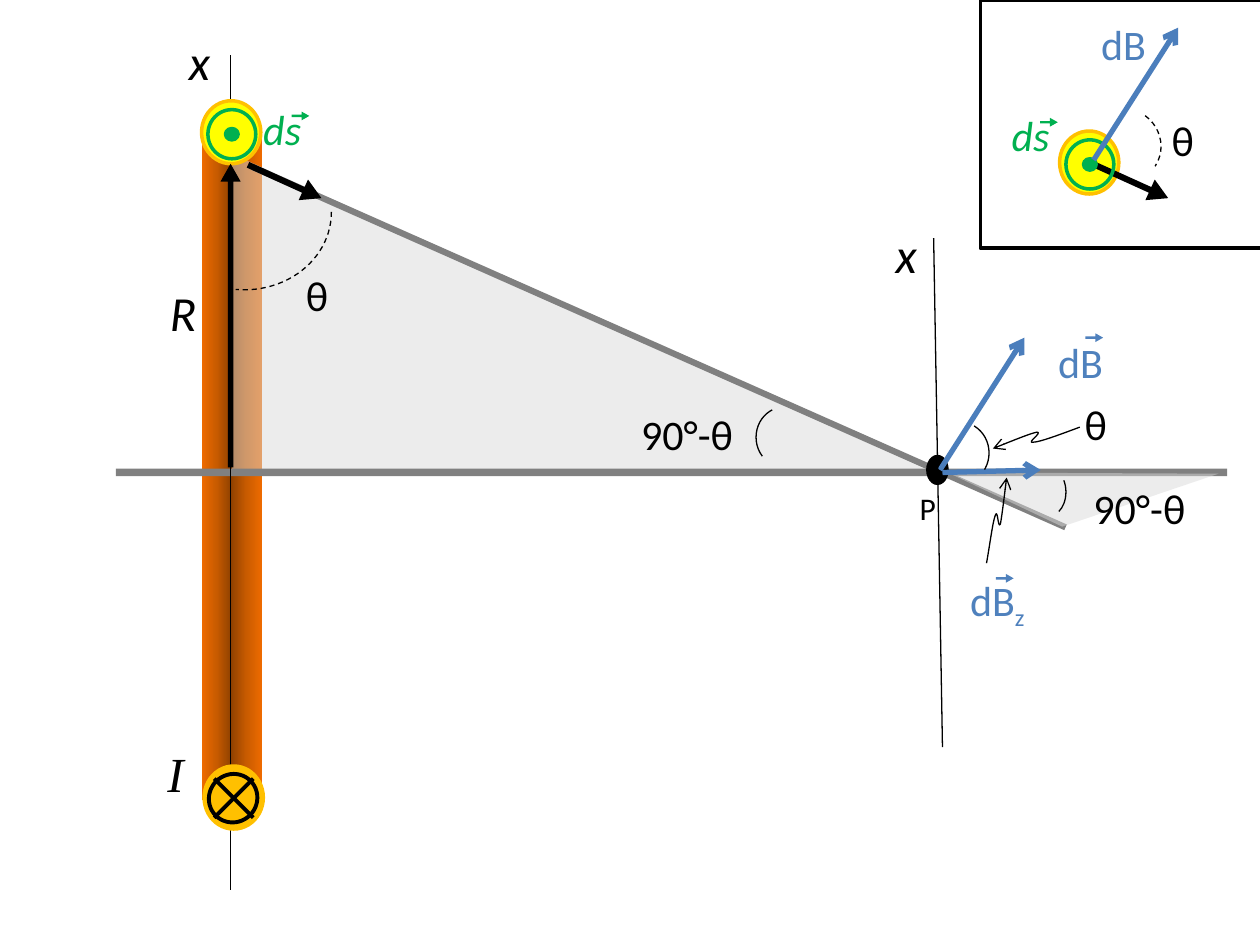
import copy

import pptx
import pptx.dml.color
import pptx.enum.dml
import pptx.enum.shapes
import pptx.enum.text
import pptx.oxml
import pptx.oxml.ns
import pptx.util

Inches = pptx.util.Inches
Pt = pptx.util.Pt
qn = pptx.oxml.ns.qn
SHAPE = pptx.enum.shapes.MSO_SHAPE
A_NS = 'xmlns:a="http://schemas.openxmlformats.org/drawingml/2006/main"'

COLORS = {
    "black": "000000", "white": "FFFFFF", "grey": "808080", "shade": "D9D9D9",
    "yellow": "FFFF00", "gold": "FFC000", "green": "00B050",
    "field": "4F81BD", "field line": "4B7EBC",
    "wire dark": "8D4000", "wire mid": "C85B00", "wire light": "EE6B00",
}


def rgb(name):
    return pptx.dml.color.RGBColor.from_string(COLORS[name])


def add_xml(parent, markup):
    parent.append(pptx.oxml.parse_xml(markup))


def write(frame, text, size=24, color="black", font="Calibri", italic=False, sub=""):
    """Write text, with an optional subscript, into a text frame."""
    for part, baseline in ((text, None), (sub, "-25000")):
        if not part:
            continue
        run = frame.paragraphs[0].add_run()
        run.text = part
        run.font.size = Pt(size)
        run.font.name = font
        run.font.italic = italic
        run.font.color.rgb = rgb(color)
        if baseline:
            run.font._element.set("baseline", baseline)


class Diagram:
    def __init__(self, slide):
        self.slide = slide
        self.shapes = slide.shapes

    def stroke(self, line, color, weight, dashed=False, arrow=False):
        line.color.rgb = rgb(color)
        line.width = Pt(weight)
        if dashed:
            line.dash_style = pptx.enum.dml.MSO_LINE.DASH
        if arrow:
            add_xml(line._get_or_add_ln(), f'<a:tailEnd {A_NS} type="arrow"/>')

    def paint(self, shape, fill=None, line=None, weight=2, alpha=None, **stroke):
        shape.shadow.inherit = False
        if fill:
            shape.fill.solid()
            shape.fill.fore_color.rgb = rgb(fill)
            if alpha:
                color = shape._element.spPr.find(qn("a:solidFill"))[0]
                add_xml(color, f'<a:alpha {A_NS} val="{alpha * 1000}"/>')
        else:
            shape.fill.background()
        if line:
            self.stroke(shape.line, line, weight, **stroke)
        else:
            shape.line.fill.background()

    def shape(self, kind, left, top, width, height, rotation=0, adjust=(), **paint):
        shape = self.shapes.add_shape(
            kind, Inches(left), Inches(top), Inches(width), Inches(height))
        shape.rotation = rotation
        for index, value in enumerate(adjust):
            shape.adjustments[index] = value
        self.paint(shape, **paint)
        return shape

    def wire(self, left, width, angle):
        half = self.shape(SHAPE.RECTANGLE, left, 1.04, width, 5.31)
        half.fill.gradient()
        half.fill.gradient_angle = angle
        stop_list = half._element.spPr.find(".//" + qn("a:gsLst"))
        stop_list.insert(1, copy.deepcopy(stop_list[0]))
        shades = ("wire dark", "wire mid", "wire light")
        for stop, position, shade in zip(half.fill.gradient_stops, (0, 0.5, 1), shades):
            stop.position = position
            stop.color.rgb = rgb(shade)

    def arc(self, left, top, width, height, start, end, rotation=0, dashed=False):
        self.shape(SHAPE.ARC, left, top, width, height, rotation, (start, end),
                   line="black", weight=0.75, dashed=dashed)

    def block_arrow(self, left, top, width, height, rotation, color="black"):
        self.shape(SHAPE.DOWN_ARROW, left, top, width, height, rotation,
                   (0.273, 0.879), fill=color)

    def line(self, start, end, color="black", weight=0.75, arrow=False):
        line = self.shapes.add_connector(
            pptx.enum.shapes.MSO_CONNECTOR.STRAIGHT, *map(Inches, start + end))
        self.stroke(line.line, color, weight, arrow=arrow)
        add_xml(line._element.spPr, f"<a:effectLst {A_NS}/>")

    def field_vector(self, start, end):
        self.line(start, end, "field line", 3, arrow=True)

    def outline(self, points, closed):
        points = [tuple(map(Inches, point)) for point in points]
        builder = self.shapes.build_freeform(*points[0], scale=1.0)
        builder.add_line_segments(points[1:], close=closed)
        return builder.convert_to_shape()

    def triangle(self, *corners):
        self.paint(self.outline(corners, True), fill="shade", alpha=49)

    def pointer(self, *points):
        """Curved arrow: a start point, then three Bezier points a segment."""
        curve = self.outline(points, False)
        steps = curve._element.findall(".//" + qn("a:lnTo"))
        for first in range(0, len(steps), 3):
            bezier = pptx.oxml.parse_xml(f"<a:cubicBezTo {A_NS}/>")
            steps[first].addprevious(bezier)
            for step in steps[first:first + 3]:
                bezier.append(step[0])
                step.getparent().remove(step)
        self.paint(curve, line="black", weight=0.75, arrow=True)

    def label(self, text, left, top, width, height=0.5, **style):
        box = self.shapes.add_textbox(
            Inches(left), Inches(top), Inches(width), Inches(height))
        box.text_frame.word_wrap = False
        box.text_frame.auto_size = pptx.enum.text.MSO_AUTO_SIZE.SHAPE_TO_FIT_TEXT
        write(box.text_frame, text, **style)

    def vector_label(self, text, left, top, width, arrow, **style):
        self.label(text, left, top, width, **style)
        self.block_arrow(left + arrow[0], top + arrow[1], 0.07, 0.14, 270, style["color"])

    def ds_label(self, left, top):
        self.vector_label("ds", left, top, 0.51, (0.36, 0.08), color="green", italic=True)

    def disc(self, left, top, fill):
        self.shape(SHAPE.OVAL, left, top, 0.47, 0.5, fill=fill, line="gold")

    def current_out(self, left, top):
        self.shape(SHAPE.OVAL, left, top, 0.38, 0.39, line="green")
        self.shape(SHAPE.OVAL, left + 0.14, top + 0.15, 0.1, 0.09, fill="green", line="green")


def main():
    deck = pptx.Presentation()
    deck.slide_width, deck.slide_height = Inches(10), Inches(7.5)
    d = Diagram(deck.slides.add_slide(deck.slide_layouts[6]))
    big = {"size": 28, "italic": True, "height": 0.57}

    # Inset frame and its wire section
    d.shape(SHAPE.RECTANGLE, 7.78, 0, 2.25, 1.97, fill="white", line="black")
    d.disc(8.41, 1.04, "yellow")

    # Wire loop seen from the side, shaded triangle and axes
    d.wire(1.83, 0.25, 0)
    d.triangle((1.83, 3.74), (7.41, 3.73), (1.84, 1.22))
    d.wire(1.6, 0.24, 180)
    d.shape(SHAPE.RECTANGLE, 0.92, 3.72, 8.82, 0.06, fill="grey")
    d.line((1.83, 7.06), (1.83, 0.44))
    d.label("R", 1.25, 2.19, 0.42, **big)
    d.label("x", 1.4, 0.2, 0.37, **big)

    # Line of sight from the current element to P
    d.shape(SHAPE.RECTANGLE, 1.7, 2.73, 7.06, 0.05, 23.9, fill="grey")
    d.block_arrow(2.17, 1.12, 0.18, 0.64, 294.4)
    d.ds_label(1.99, 0.77)

    # Point P and its field vectors
    d.label("θ", 8.51, 3.11, 0.38)
    d.triangle((8.43, 4.18), (9.67, 3.76), (7.52, 3.75))
    d.label("P", 7.2, 3.83, 0.33, 0.4, size=18)
    d.shape(SHAPE.OVAL, 7.35, 3.61, 0.18, 0.24, fill="black")
    d.field_vector((7.48, 3.75), (8.26, 3.73))
    d.label("θ", 9.2, 0.86, 0.38)
    d.vector_label("dB", 7.6, 4.51, 0.65, (0.34, 0.01), color="field", sub="z")
    d.vector_label("dB", 8.3, 2.62, 0.56, (0.35, -0.01), color="field")
    d.field_vector((7.46, 3.73), (8.13, 2.68))

    # Pointers and angles around P
    d.pointer((7.83, 4.47), (7.86, 4.3), (7.88, 4.14), (7.9, 4.09), (7.92, 4.03),
              (7.92, 4.2), (7.94, 4.16), (7.95, 4.11), (7.97, 3.95), (7.99, 3.79))
    d.arc(7.39, 3.35, 0.46, 0.49, 178.49, 20.46)
    d.pointer((8.57, 3.39), (8.41, 3.45), (8.25, 3.51), (8.2, 3.51), (8.14, 3.52),
              (8.28, 3.43), (8.23, 3.43), (8.18, 3.44), (8.03, 3.5), (7.88, 3.56))
    d.arc(8.21, 3.72, 0.25, 0.37, 191.61, 39.58)
    d.label("90°-θ", 8.58, 3.78, 0.96)
    d.label("90°-θ", 4.99, 3.19, 0.96)
    d.arc(6, 3.23, 0.45, 0.48, 191.61, 39.58, rotation=180)
    d.line((7.48, 5.93), (7.41, 1.89))
    d.label("x", 7.01, 1.73, 0.37, **big)

    # Current out of the page and loop radius
    d.disc(1.6, 0.8, "yellow")
    d.current_out(1.65, 0.87)
    d.label("I", 1.23, 5.85, 0.33, font="Times New Roman", **big)
    d.block_arrow(1.75, 1.3, 0.16, 2.41, 180)

    # Inset vectors
    d.block_arrow(8.89, 1.12, 0.18, 0.64, 294.4)
    d.ds_label(7.93, 0.82)
    d.current_out(8.46, 1.11)
    d.field_vector((8.68, 1.27), (9.35, 0.22))
    d.label("dB", 8.64, 0.1, 0.56, color="field")
    d.arc(8.6, 0.84, 0.6, 0.63, 121.92, 171.91, rotation=105.2, dashed=True)

    # Angle at the wire
    d.label("θ", 2.33, 2.09, 0.38)
    d.arc(1.25, 1.07, 1.38, 1.23, 107.78, 165.87, rotation=180, dashed=True)

    # Current into the page
    d.disc(1.62, 6.08, "gold")
    d.shape(SHAPE.OVAL, 1.66, 6.14, 0.38, 0.39, 45, line="black", weight=2.25)
    for start, end in ((2.01, 1.7), (1.7, 2.01)):
        d.line((start, 6.18), (end, 6.49), weight=2.25)

    deck.save("out.pptx")


if __name__ == "__main__":
    main()
